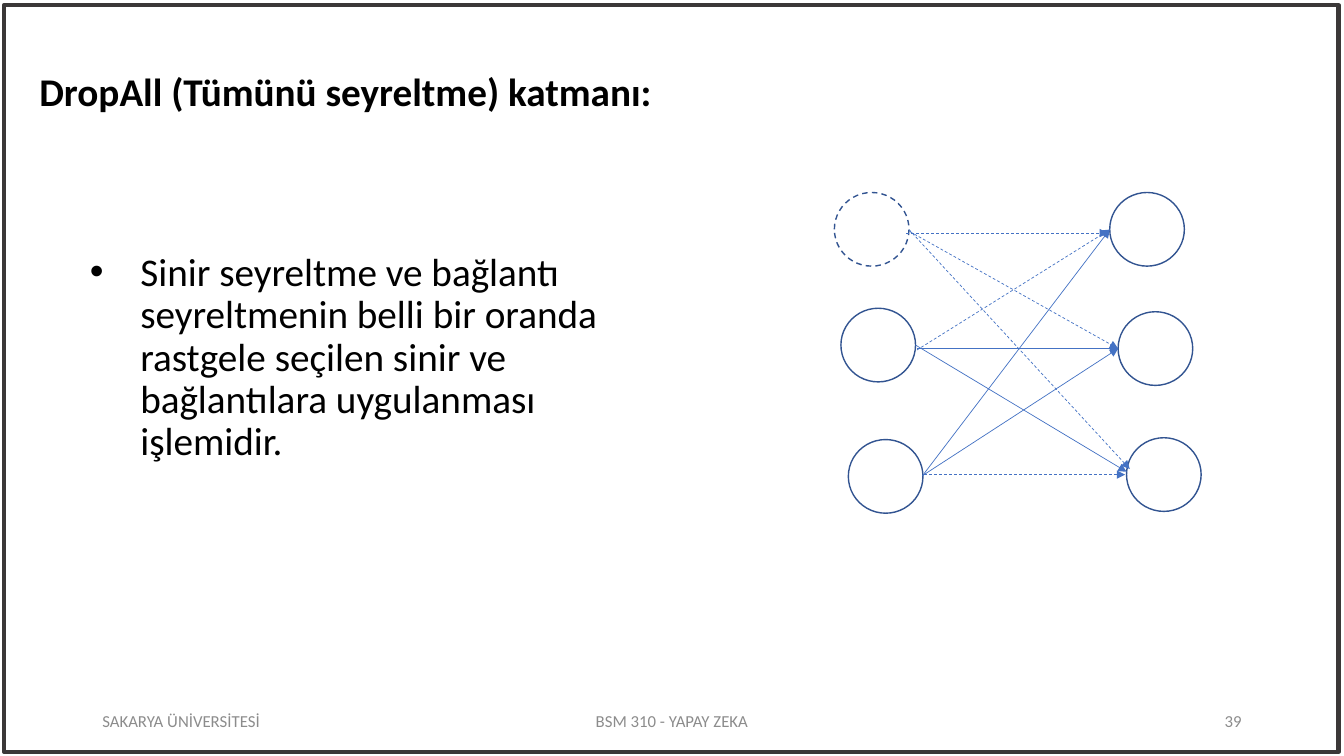
from lxml.etree import SubElement
from pptx import Presentation
from pptx.dml.color import RGBColor
from pptx.enum.dml import MSO_LINE
from pptx.enum.shapes import MSO_CONNECTOR, MSO_SHAPE
from pptx.enum.text import MSO_ANCHOR, MSO_AUTO_SIZE, PP_ALIGN
from pptx.oxml.ns import qn
from pptx.util import Pt

BLACK = RGBColor(0x00, 0x00, 0x00)
FOOTER_GRAY = RGBColor(0x8C, 0x8C, 0x8C)
FRAME_GRAY = RGBColor(0x3B, 0x38, 0x38)
NEURON_BLUE = RGBColor(0x32, 0x54, 0x91)
LINK_BLUE = RGBColor(0x44, 0x72, 0xC4)


def write(holder, text, size, color, align, anchor, bold=False):
    frame = holder.text_frame
    frame.text = text
    frame.word_wrap = True
    frame.auto_size = MSO_AUTO_SIZE.NONE
    frame.vertical_anchor = anchor
    paragraph = frame.paragraphs[0]
    paragraph.alignment = align
    font = paragraph.runs[0].font
    font.name, font.size, font.bold = "Calibri", Pt(size), bold
    font.color.rgb = color
    return paragraph


def outline(shape, color, width, dashed=False):
    shape.line.color.rgb = color
    shape.line.width = Pt(width)
    if dashed:
        shape.line.dash_style = MSO_LINE.DASH


prs = Presentation()
prs.slide_width, prs.slide_height = Pt(960), Pt(540)
slide = prs.slides.add_slide(prs.slide_layouts[1])
shapes = slide.shapes

border = shapes.add_shape(MSO_SHAPE.RECTANGLE, Pt(2.9), Pt(3.6), Pt(953.3), Pt(533.5))
border.fill.background()
border.shadow.inherit = False
outline(border, FRAME_GRAY, 3)

heading = shapes.title
heading.left, heading.top, heading.width, heading.height = Pt(20.9), Pt(48.2), Pt(458), Pt(40)
heading_line = write(heading, "DropAll (Tümünü seyreltme) katmanı:", 28, BLACK,
                     PP_ALIGN.LEFT, MSO_ANCHOR.TOP, bold=True)
heading_line.line_spacing = 0.9

definition = slide.placeholders[1]
definition.left, definition.top, definition.width, definition.height = Pt(57), Pt(176.8), Pt(422), Pt(170)
definition_line = write(
    definition,
    "Sinir seyreltme ve bağlantı seyreltmenin belli bir oranda rastgele "
    "seçilen sinir ve bağlantılara uygulanması işlemidir.",
    28, BLACK, PP_ALIGN.LEFT, MSO_ANCHOR.TOP)
definition_line.line_spacing = 0.9
definition_line.space_before = Pt(0)
bullet_props = definition_line._p.get_or_add_pPr()
bullet_props.set("marL", str(Pt(36)))
bullet_props.set("indent", str(Pt(-36)))
SubElement(bullet_props, qn("a:buFont"), typeface="Arial")
SubElement(bullet_props, qn("a:buChar"), char="•")

for text, left, width, align in [
    ("SAKARYA ÜNİVERSİTESİ", 66, 216, PP_ALIGN.LEFT),
    ("BSM 310 - YAPAY ZEKA", 318, 324, PP_ALIGN.CENTER),
    ("39", 678, 216, PP_ALIGN.RIGHT),
]:
    footer = shapes.add_textbox(Pt(left), Pt(500.5), Pt(width), Pt(28.75))
    write(footer, text, 12, FOOTER_GRAY, align, MSO_ANCHOR.MIDDLE)

for left, top, dropped in [
    (596, 137.5, True), (792.7, 137.5, False),
    (600.7, 220.2, False), (798.7, 222.7, False),
    (606, 314, False), (804.7, 312.7, False),
]:
    neuron = shapes.add_shape(MSO_SHAPE.OVAL, Pt(left), Pt(top), Pt(53.3), Pt(52.6))
    neuron.fill.background()
    neuron.shadow.inherit = False
    outline(neuron, NEURON_BLUE, 1, dropped)

for x1, y1, x2, y2, dropped in [
    (647.5, 166.5, 791.5, 166.5, True),
    (655, 249, 799, 249, False),
    (660, 339, 803.7, 339, True),
    (659, 339.7, 798.7, 249, False),
    (655, 250, 792.7, 164, True),
    (659, 339.7, 792.7, 164, False),
    (654, 246.5, 804.7, 337, False),
    (650, 165.5, 798.7, 249, True),
    (649.3, 164, 807, 335, True),
]:
    link = shapes.add_connector(MSO_CONNECTOR.STRAIGHT, Pt(x1), Pt(y1), Pt(x2), Pt(y2))
    outline(link, LINK_BLUE, 0.5, dropped)
    SubElement(link.line._get_or_add_ln(), qn("a:tailEnd"), type="triangle")
    SubElement(link._element.spPr, qn("a:effectLst"))

prs.save("out.pptx")
